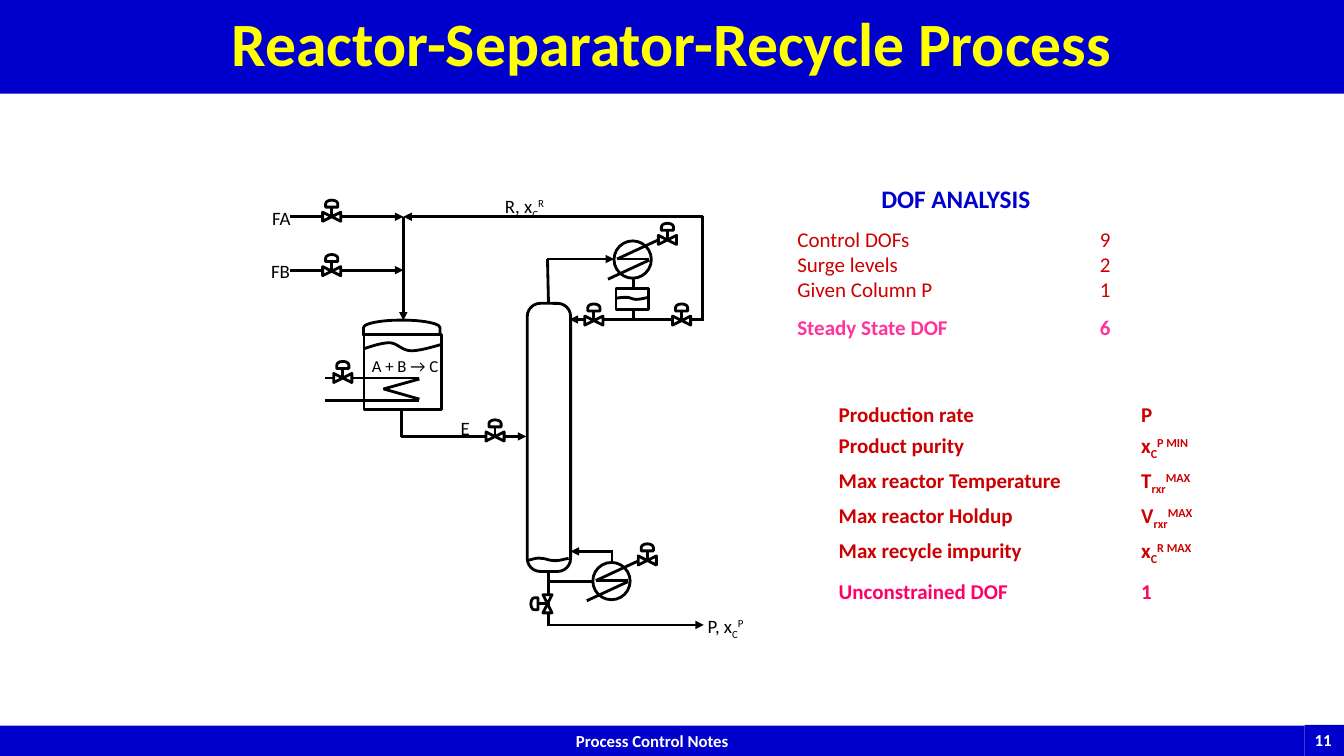
from dataclasses import dataclass

from lxml import etree
from pptx import Presentation
from pptx.dml.color import RGBColor
from pptx.enum.shapes import MSO_CONNECTOR, MSO_SHAPE
from pptx.enum.text import MSO_ANCHOR, MSO_AUTO_SIZE, PP_ALIGN
from pptx.oxml.ns import qn
from pptx.util import Pt

PX = 9144  # EMU per px, 100 px to the inch
FONT = "Calibri"
BLUE, RED, BLACK, WHITE = "0000CC", "CC0000", "000000", "FFFFFF"
RECT, OVAL, ROUND = MSO_SHAPE.RECTANGLE, MSO_SHAPE.OVAL, MSO_SHAPE.ROUNDED_RECTANGLE
DELAY, BOWTIE = MSO_SHAPE.FLOWCHART_DELAY, MSO_SHAPE.FLOWCHART_COLLATE
STRAIGHT = MSO_CONNECTOR.STRAIGHT
LEFT, CENTER = PP_ALIGN.LEFT, PP_ALIGN.CENTER
TOP, MIDDLE = MSO_ANCHOR.TOP, MSO_ANCHOR.MIDDLE
NO_FIT = MSO_AUTO_SIZE.NONE
BASES = (0, -25000, 30000)  # normal, subscript, superscript
TAB = 300
STEPS = 8

Point = tuple[float, float]


@dataclass
class Box:
    x: float
    y: float
    w: float
    h: float

    def emu(self) -> list[int]:
        return [round(n * PX) for n in (self.x, self.y, self.w, self.h)]


@dataclass
class Para:
    text: str  # "|" parts base text, subscript and superscript
    size: float
    color: str = BLACK
    bold: bool = False
    align: PP_ALIGN = LEFT
    before: float = 0
    after: float = 0
    leading: float = 1


@dataclass
class Pipe:
    x1: int
    y1: int
    x2: int
    y2: int
    arrow: bool = False


@dataclass
class Valve:
    x: int
    y: int
    up: bool = True


@dataclass
class Label:
    box: Box
    text: str
    size: float = 13.5


def rgb(code: str) -> RGBColor:
    return RGBColor.from_string(code)


def write(frame, paras: list[Para], wrap: bool = True, anchor: MSO_ANCHOR = TOP) -> None:
    frame.word_wrap = wrap
    frame.auto_size = NO_FIT
    frame.vertical_anchor = anchor
    for i, item in enumerate(paras):
        para = frame.add_paragraph() if i else frame.paragraphs[0]
        if "\t" in item.text:
            tabs = etree.SubElement(para._p.get_or_add_pPr(), qn("a:tabLst"))
            etree.SubElement(tabs, qn("a:tab"), pos=str(TAB * PX), algn="l")
        para.alignment = item.align
        para.line_spacing = item.leading
        para.space_before, para.space_after = Pt(item.before), Pt(item.after)
        font = para.font
        font.name, font.size, font.bold = FONT, Pt(item.size), item.bold
        font.color.rgb = rgb(item.color)
        for part, base in zip(item.text.split("|"), BASES):
            run = para.add_run()
            run.text = part
            if base:
                run._r.get_or_add_rPr().set("baseline", str(base))


def add_text(slide, box: Box, paras: list[Para], wrap: bool = True) -> None:
    write(slide.shapes.add_textbox(*box.emu()).text_frame, paras, wrap)


def add_bar(slide, box: Box, para: Para, wrap: bool = True) -> None:
    bar = slide.shapes.add_shape(RECT, *box.emu())
    bar.shadow.inherit = False
    bar.fill.solid()
    bar.fill.fore_color.rgb = rgb(BLUE)
    bar.line.fill.background()
    write(bar.text_frame, [para], wrap)


def add_part(slide, kind: MSO_SHAPE, box: Box, turn: int = 0):
    part = slide.shapes.add_shape(kind, *box.emu())
    part.shadow.inherit = False
    part.rotation = turn
    part.fill.solid()
    part.fill.fore_color.rgb = rgb(WHITE)
    part.line.color.rgb = rgb(BLACK)
    part.line.width = Pt(2)
    return part


def add_pipe(slide, pipe: Pipe) -> None:
    ends = [n * PX for n in (pipe.x1, pipe.y1, pipe.x2, pipe.y2)]
    line = slide.shapes.add_connector(STRAIGHT, *ends)
    line.line.color.rgb = rgb(BLACK)
    line.line.width = Pt(2)
    props = line._element.spPr
    if pipe.arrow:
        etree.SubElement(props.find(qn("a:ln")), qn("a:tailEnd"), type="triangle")
    etree.SubElement(props, qn("a:effectLst"))


def add_wave(slide, knots: list[Point]) -> None:
    """Draw a liquid surface through cubic curves."""
    dots = []
    for i in range(0, len(knots) - 1, 3):
        a, b, c, d = knots[i:i + 4]
        for t in (n / STEPS for n in range(1, STEPS + 1)):
            u = 1 - t
            dots.append(tuple(
                (u**3 * a[k] + 3 * u * u * t * b[k] + 3 * u * t * t * c[k] + t**3 * d[k]) * PX
                for k in (0, 1)))
    pen = slide.shapes.build_freeform(knots[0][0] * PX, knots[0][1] * PX)
    pen.add_line_segments(dots, close=False)
    wave = pen.convert_to_shape()
    wave.shadow.inherit = False
    wave.fill.background()
    wave.line.color.rgb = rgb(BLACK)
    wave.line.width = Pt(2)


def add_valve(slide, valve: Valve) -> None:
    x, y = valve.x, valve.y
    dx, dy, turn = (0, -1, 270) if valve.up else (-1, 0, 180)
    add_part(slide, BOWTIE, Box(x - 4.5, y - 9, 9, 18), turn)
    add_pipe(slide, Pipe(x, y, x + 10 * dx, y + 10 * dy))
    add_part(slide, DELAY, Box(x + 13 * dx - 3.5, y + 13 * dy - 6, 7, 12), turn)


def add_cooler(slide, x: int, y: int) -> None:
    add_part(slide, OVAL, Box(x, y, 37, 37))
    for x1, y1, x2, y2 in ((44, -1, 3, 18), (35, 19, -6, 38), (3, 18, 35, 18)):
        add_pipe(slide, Pipe(x + x1, y + y1, x + x2, y + y2))


PIPES = [
    # Heating coil
    Pipe(322, 375, 416, 375), Pipe(322, 397, 416, 397),
    Pipe(416, 376, 380, 386), Pipe(416, 396, 381, 386),
    # Feeds and reactor outlet
    Pipe(288, 215, 400, 215, True), Pipe(288, 268, 400, 268, True),
    Pipe(400, 215, 400, 318, True), Pipe(398, 405, 398, 434),
    Pipe(398, 433, 522, 433, True),
    # Column top, reflux and recycle
    Pipe(543, 257, 544, 300), Pipe(543, 257, 609, 257, True),
    Pipe(628, 276, 628, 285), Pipe(628, 308, 628, 316),
    Pipe(698, 317, 565, 317, True), Pipe(697, 214, 697, 317),
    Pipe(697, 215, 400, 215, True),
    # Column bottom and product
    Pipe(544, 566, 544, 619), Pipe(543, 577, 588, 577),
    Pipe(543, 620, 698, 620, True), Pipe(607, 558, 607, 546),
    Pipe(607, 547, 566, 547, True),
]
WAVES = [
    [(361, 346), (370, 343), (379, 340), (387, 340), (395, 341), (399, 348),
     (408, 348), (416, 348), (426, 345), (437, 342)],
    [(611, 296), (615, 295), (619, 295), (622, 295), (625, 295), (627, 297),
     (631, 297), (634, 297), (639, 296), (643, 295)],
    [(523, 556), (528, 555), (533, 553), (537, 554), (541, 554), (544, 556),
     (548, 556), (553, 557), (558, 555), (564, 554)],
]
VALVES = [Valve(491, 433), Valve(642, 556), Valve(662, 238), Valve(543, 599, False),
          Valve(340, 375), Valve(329, 269), Valve(329, 215), Valve(589, 318),
          Valve(676, 318)]
LABELS = [
    Label(Box(359, 348, 87, 30), "A + B → C", 12),
    Label(Box(260, 200, 39, 33), "FA"), Label(Box(259, 253, 39, 33), "FB"),
    Label(Box(447, 408, 29, 33), "E"),
    Label(Box(491, 188, 61, 33), "R, x|C|R"), Label(Box(692, 605, 58, 33), "P, x|C|P"),
]
COUNTS = ["Control DOFs\t9", "Surge levels\t2", "Given Column P\t1"]
LIMITS = ["Production rate\tP", "Product purity\tx|C|P MIN",
          "Max reactor Temperature\tT|rxr|MAX", "Max reactor Holdup\tV|rxr|MAX",
          "Max recycle impurity\tx|C|R MAX"]


def main() -> None:
    deck = Presentation()
    deck.slide_width, deck.slide_height = 1333 * PX, 750 * PX
    slide = deck.slides.add_slide(deck.slide_layouts[5])

    # Title and footer
    title = slide.shapes.title
    title.left, title.top, title.width, title.height = Box(0, 0, 1333, 93).emu()
    title.fill.solid()
    title.fill.fore_color.rgb = rgb(BLUE)
    write(title.text_frame, [Para("Reactor-Separator-Recycle Process", 44, "FFFF00", True,
                                  CENTER, leading=0.9)], anchor=MIDDLE)
    add_bar(slide, Box(0, 720, 1294, 30),
            Para("Process Control Notes", 12, WHITE, True, CENTER))
    add_bar(slide, Box(1294, 719, 39, 31), Para("11", 12, WHITE, True), wrap=False)

    # Reactor, column and reflux drum
    add_part(slide, DELAY, Box(391, 287, 15, 76), 270)
    add_part(slide, RECT, Box(361, 332, 77, 74))
    add_part(slide, ROUND, Box(523, 301, 43, 266)).adjustments[0] = 0.3
    add_part(slide, RECT, Box(611, 286, 32, 21))

    # Exchangers, piping, levels, valves and labels
    add_cooler(slide, 609, 239)
    add_cooler(slide, 588, 558)
    for pipe in PIPES:
        add_pipe(slide, pipe)
    for wave in WAVES:
        add_wave(slide, wave)
    for valve in VALVES:
        add_valve(slide, valve)
    for label in LABELS:
        add_text(slide, label.box, [Para(label.text, label.size)], wrap=False)

    # Degrees of freedom
    add_text(slide, Box(781, 177, 334, 167), [
        Para("DOF ANALYSIS", 18, BLUE, True, CENTER, after=9),
        *(Para(text, 15, RED) for text in COUNTS),
        Para("Steady State DOF\t6", 15, "FF3399", True, before=9)])
    add_text(slide, Box(822, 393, 381, 202), [
        *(Para(text, 15, RED, True, before=4.5 if i else 0) for i, text in enumerate(LIMITS)),
        Para("Unconstrained DOF\t1", 15, "FF0066", True, before=9)])

    deck.save("out.pptx")


if __name__ == "__main__":
    main()
